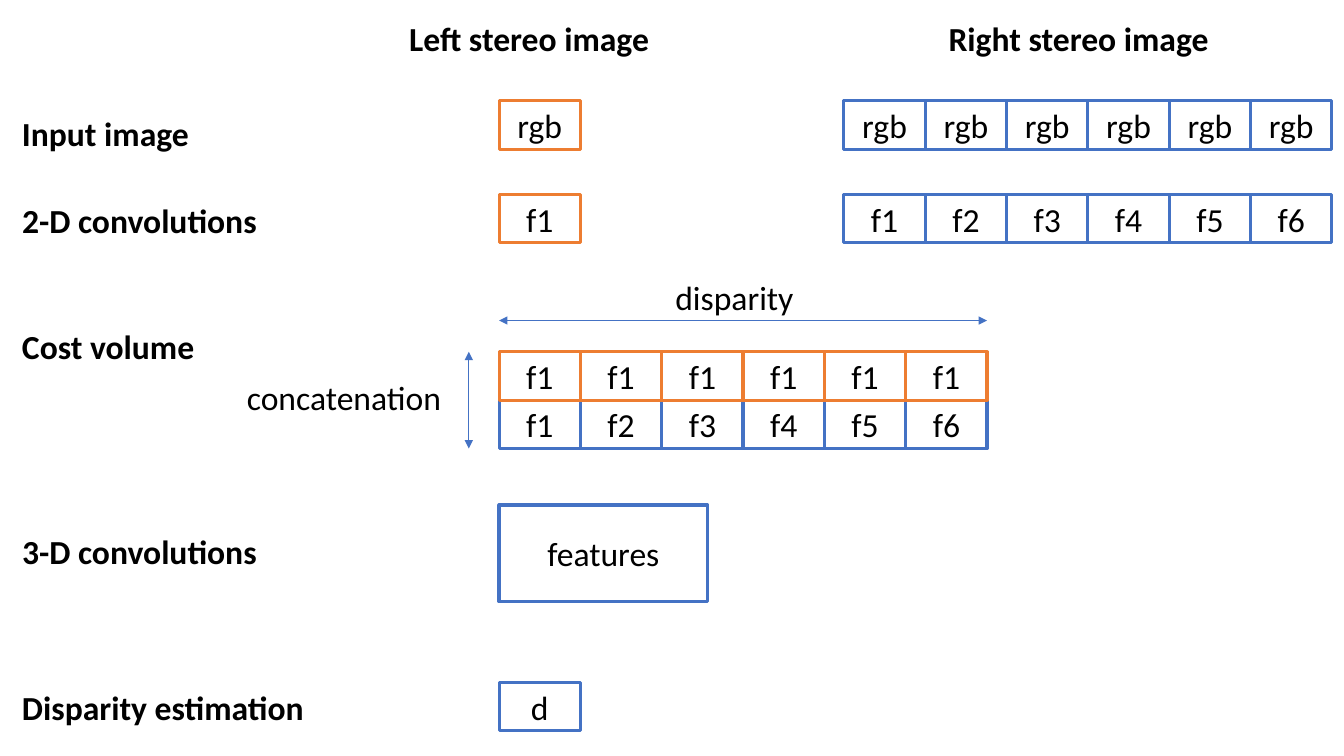
from pptx import Presentation
from pptx.dml.color import RGBColor
from pptx.enum.shapes import MSO_CONNECTOR, MSO_SHAPE
from pptx.enum.text import MSO_ANCHOR, MSO_AUTO_SIZE, PP_ALIGN
from pptx.oxml.ns import qn
from pptx.util import Inches, Pt
from lxml.etree import SubElement

COLORS = {"left": "ED7D31", "right": "4472C4", "paper": "FFFFFF", "ink": "000000"}
COLUMNS = 6
ROW_WIDTH = 4.84
CELL_WIDTH = ROW_WIDTH / COLUMNS
CELL_HEIGHT = 0.48
LEFT_X, RIGHT_X = 4.95, 8.37
INPUT_Y, FEATURE_Y, COST_Y = 1, 1.93, 3.49

prs = Presentation()
prs.slide_width, prs.slide_height = Inches(13.33), Inches(7.5)
slide = prs.slides.add_slide(prs.slide_layouts[6])


def write(shape, words, bold=False):
    """Put one line of slide text into a shape and return its paragraph."""
    paragraph = shape.text_frame.paragraphs[0]
    run = paragraph.add_run()
    run.text = words
    font_format = {"name": "Calibri", "size": Pt(24), "bold": bold}
    for attribute, value in font_format.items():
        setattr(run.font, attribute, value)
    run.font.color.rgb = RGBColor.from_string(COLORS["ink"])
    return paragraph


def add_cells(x, y, words, side, width=CELL_WIDTH, height=CELL_HEIGHT):
    """Draw a row of adjoining outlined cells, one for each word."""
    for column, word in enumerate(words):
        cell = slide.shapes.add_shape(
            MSO_SHAPE.RECTANGLE, Inches(x + column * width), Inches(y),
            Inches(width), Inches(height))
        cell.shadow.inherit = False
        cell.fill.solid()
        cell.fill.fore_color.rgb = RGBColor.from_string(COLORS["paper"])
        cell.line.color.rgb = RGBColor.from_string(COLORS[side])
        cell.line.width = Pt(2.25)
        cell.text_frame.vertical_anchor = MSO_ANCHOR.MIDDLE
        write(cell, word).alignment = PP_ALIGN.CENTER


features = [f"f{number}" for number in range(1, COLUMNS + 1)]

# Stereo inputs, their features, and the cost volume built from both
add_cells(RIGHT_X, INPUT_Y, ["rgb"] * COLUMNS, "right")
add_cells(LEFT_X, INPUT_Y, ["rgb"], "left")
add_cells(LEFT_X, FEATURE_Y, ["f1"], "left")
add_cells(RIGHT_X, FEATURE_Y, features, "right")
add_cells(LEFT_X, COST_Y + CELL_HEIGHT, features, "right")
add_cells(LEFT_X, COST_Y, ["f1"] * COLUMNS, "left")
add_cells(LEFT_X, 5.01, ["features"], "right", width=2.07, height=0.96)
add_cells(LEFT_X, 6.77, ["d"], "right")

# Headings, stage names and dimension names
labels = [
    ("Left stereo image", 3.96, 0.13, 2.62, True),
    ("Right stereo image", 9.31, 0.13, 2.81, True),
    ("Input image", 0.12, 1.07, 1.87, True),
    ("2-D convolutions", 0.12, 1.93, 2.55, True),
    ("Cost volume", 0.12, 3.18, 1.93, True),
    ("3-D convolutions", 0.12, 5.22, 2.55, True),
    ("Disparity estimation", 0.12, 6.77, 3.03, True),
    ("disparity", 6.6, 2.7, 1.39, False),
    ("concatenation", 2.35, 3.69, 2.15, False),
]
for words, x, y, width, bold in labels:
    label = slide.shapes.add_textbox(Inches(x), Inches(y), Inches(width), Inches(0.5))
    label.text_frame.word_wrap = False
    label.text_frame.auto_size = MSO_AUTO_SIZE.SHAPE_TO_FIT_TEXT
    write(label, words, bold)

# Double-headed arrows along the two dimensions of the cost volume
dimensions = [
    (LEFT_X, 3.18, LEFT_X + ROW_WIDTH, 3.18),
    (4.65, COST_Y, 4.65, COST_Y + 2 * CELL_HEIGHT),
]
for ends in dimensions:
    arrow = slide.shapes.add_connector(MSO_CONNECTOR.STRAIGHT, *map(Inches, ends))
    arrow.line.color.rgb = RGBColor.from_string(COLORS["right"])
    arrow.line.width = Pt(0.5)
    outline = arrow.line._get_or_add_ln()
    for end in ("a:headEnd", "a:tailEnd"):
        SubElement(outline, qn(end), type="triangle")
    SubElement(arrow._element.spPr, qn("a:effectLst"))

prs.save("out.pptx")
